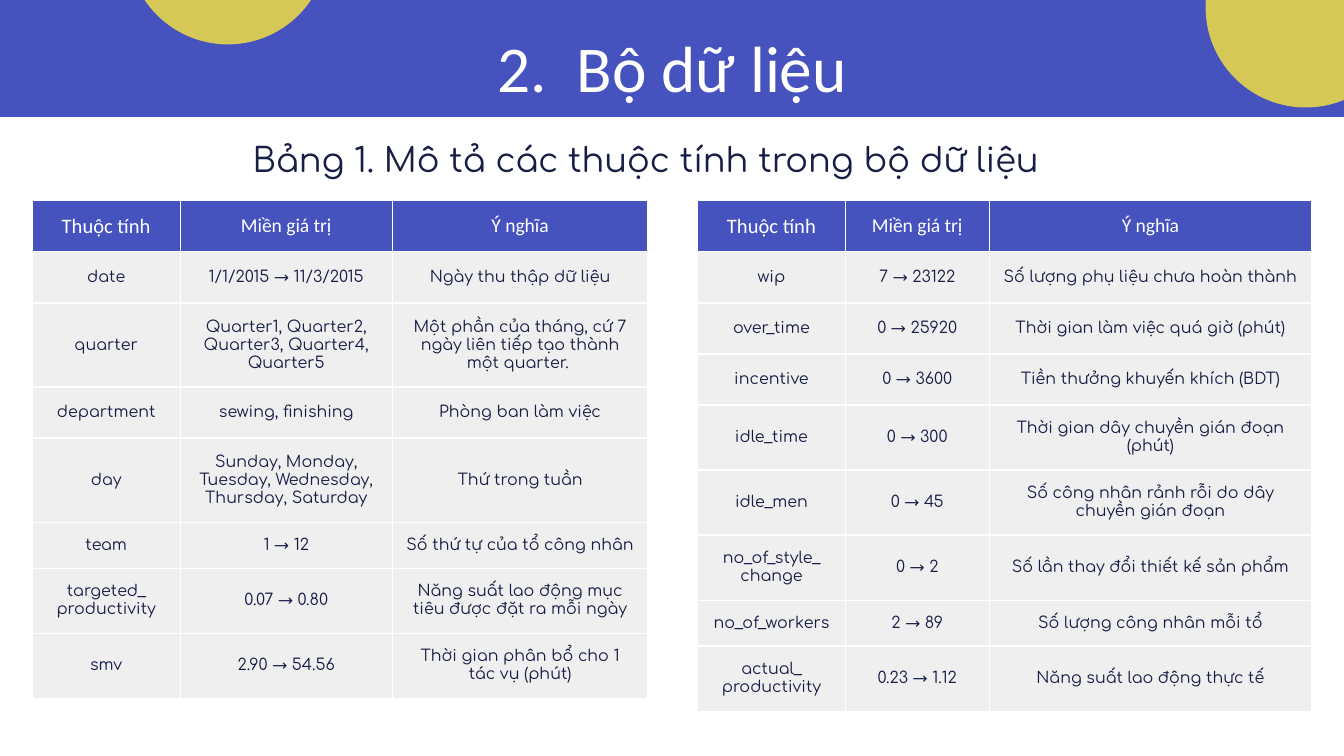
from lxml import etree
from pptx import Presentation
from pptx.dml.color import RGBColor
from pptx.enum.shapes import MSO_SHAPE as SHAPE
from pptx.enum.text import MSO_ANCHOR as ANCHOR, PP_ALIGN as ALIGN
from pptx.oxml.ns import qn
from pptx.util import Inches, Pt

BLUE = RGBColor(0x46, 0x52, 0xBE)
YELLOW = RGBColor(0xD5, 0xC8, 0x57)
NAVY = RGBColor(0x17, 0x1D, 0x44)
GREY = RGBColor(0xEF, 0xEF, 0xEF)
WHITE = RGBColor(0xFF, 0xFF, 0xFF)

HEADER = ("Thuộc tính", "Miền giá trị", "Ý nghĩa")
LEFT_ROWS = [
    ("date", "1/1/2015 → 11/3/2015", "Ngày thu thập dữ liệu"),
    ("quarter", "Quarter1, Quarter2, Quarter3, Quarter4, Quarter5",
     "Một phần của tháng, cứ 7 ngày liên tiếp tạo thành một quarter. "),
    ("department", "sewing, finishing", "Phòng ban làm việc"),
    ("day", "Sunday, Monday, Tuesday, Wednesday, Thursday, Saturday", "Thứ trong tuần"),
    ("team", "1 → 12", "Số thứ tự của tổ công nhân"),
    ("targeted_\nproductivity", "0.07 → 0.80",
     "Năng suất lao động mục tiêu được đặt ra mỗi ngày"),
    ("smv", "2.90 → 54.56", "Thời gian phân bổ cho 1 tác vụ (phút)"),
]
RIGHT_ROWS = [
    ("wip", "7 → 23122", "Số lượng phụ liệu chưa hoàn thành"),
    ("over_time", "0 → 25920", "Thời gian làm việc quá giờ (phút)"),
    ("incentive", "0 → 3600", "Tiền thưởng khuyến khích (BDT)"),
    ("idle_time", "0 → 300", "Thời gian dây chuyền gián đoạn (phút)"),
    ("idle_men", "0 → 45", "Số công nhân rảnh rỗi do dây chuyền gián đoạn"),
    ("no_of_style_\nchange", "0 → 2", "Số lần thay đổi thiết kế sản phẩm"),
    ("no_of_workers", "2 → 89", "Số lượng công nhân mỗi tổ"),
    ("actual_\nproductivity", "0.23 → 1.12", "Năng suất lao động thực tế"),
]


class SlideBuilder:
    heading_font = "Calibri"
    body_font = "Comfortaa"
    margin = Inches(0.1)
    tall_row, short_row, short_count = 0.38, 0.31, 3

    def __init__(self, slide):
        self.s = slide

    def shape(self, kind, x, y, w, h, color):
        sp = self.s.shapes.add_shape(kind, Inches(x), Inches(y), Inches(w), Inches(h))
        sp.shadow.inherit = False
        sp.fill.solid()
        sp.fill.fore_color.rgb = color
        sp.line.fill.background()

    def format(self, tf, font, size, color, space_after=0):
        for p in tf.paragraphs:
            p.alignment = ALIGN.CENTER
            p.space_after = Pt(space_after)
            for r in p.runs:
                r.font.name = font
                r.font.size = Pt(size)
                r.font.color.rgb = color

    def set_margins(self, target):
        target.margin_left = target.margin_right = self.margin
        target.margin_top = target.margin_bottom = self.margin

    def text(self, text, x, y, w, h, font, size, color, space_after=0):
        tf = self.s.shapes.add_textbox(Inches(x), Inches(y), Inches(w), Inches(h)).text_frame
        tf.word_wrap = True
        tf.vertical_anchor = ANCHOR.TOP
        self.set_margins(tf)
        tf.text = text
        self.format(tf, font, size, color, space_after)

    def borders(self, cell):
        """Draw thin white lines on all four sides."""
        tc_pr = cell._tc.get_or_add_tcPr()
        for i, side in enumerate("LRTB"):
            ln = etree.Element(qn(f"a:ln{side}"), w=str(Pt(0.75)))
            fill = etree.SubElement(ln, qn("a:solidFill"))
            etree.SubElement(fill, qn("a:srgbClr"), val=str(WHITE))
            tc_pr.insert(i, ln)

    def cell(self, cell, text, row, col):
        cell.text = text
        cell.vertical_anchor = ANCHOR.MIDDLE
        self.set_margins(cell)
        cell.fill.solid()
        cell.fill.fore_color.rgb = GREY if row else BLUE
        self.borders(cell)
        if row:
            style = self.body_font, 8.5, NAVY
        else:
            style = self.heading_font, 10.5 if col else 11, WHITE
        self.format(cell.text_frame, *style, space_after=16 if col else 0)

    def table(self, x, y, w, h, widths, rows):
        """Add a table whose rows may grow to fill the frame height h."""
        rows = [HEADER, *rows]
        tall_count = len(rows) - self.short_count
        heights = [self.tall_row] * tall_count + [self.short_row] * self.short_count
        frame = self.s.shapes.add_table(
            len(rows), len(widths), Inches(x), Inches(y), Inches(w), Inches(h))
        table = frame.table
        for column, width in zip(table.columns, widths):
            column.width = Inches(width)
        for i, (values, height) in enumerate(zip(rows, heights)):
            table.rows[i].height = Inches(height)
            for j, value in enumerate(values):
                self.cell(table.cell(i, j), value, i, j)
        frame.width, frame.height = Inches(w), Inches(h)


def main():
    prs = Presentation()
    prs.slide_width = Inches(10)
    prs.slide_height = prs.slide_width * 9 // 16
    b = SlideBuilder(prs.slides.add_slide(prs.slide_layouts[6]))

    b.shape(SHAPE.RECTANGLE, 0, 0, 10, 0.87, BLUE)
    for x, y in ((8.97, -0.69), (0.95, -1.16)):
        b.shape(SHAPE.OVAL, x, y, 1.49, 1.49, YELLOW)

    b.text("2.  Bộ dữ liệu", 0.79, 0.1, 8.43, 0.63, b.heading_font, 35, WHITE)
    b.text("Bảng 1. Mô tả các thuộc tính trong bộ dữ liệu",
           0.5, 0.93, 8.61, 0.41, b.body_font, 18, NAVY, space_after=16)

    b.table(0.24, 1.49, 4.57, 3.71, (1.1, 1.58, 1.9), LEFT_ROWS)
    b.table(5.19, 1.49, 4.57, 3.81, (1.1, 1.07, 2.4), RIGHT_ROWS)
    prs.save("out.pptx")


if __name__ == "__main__":
    main()
